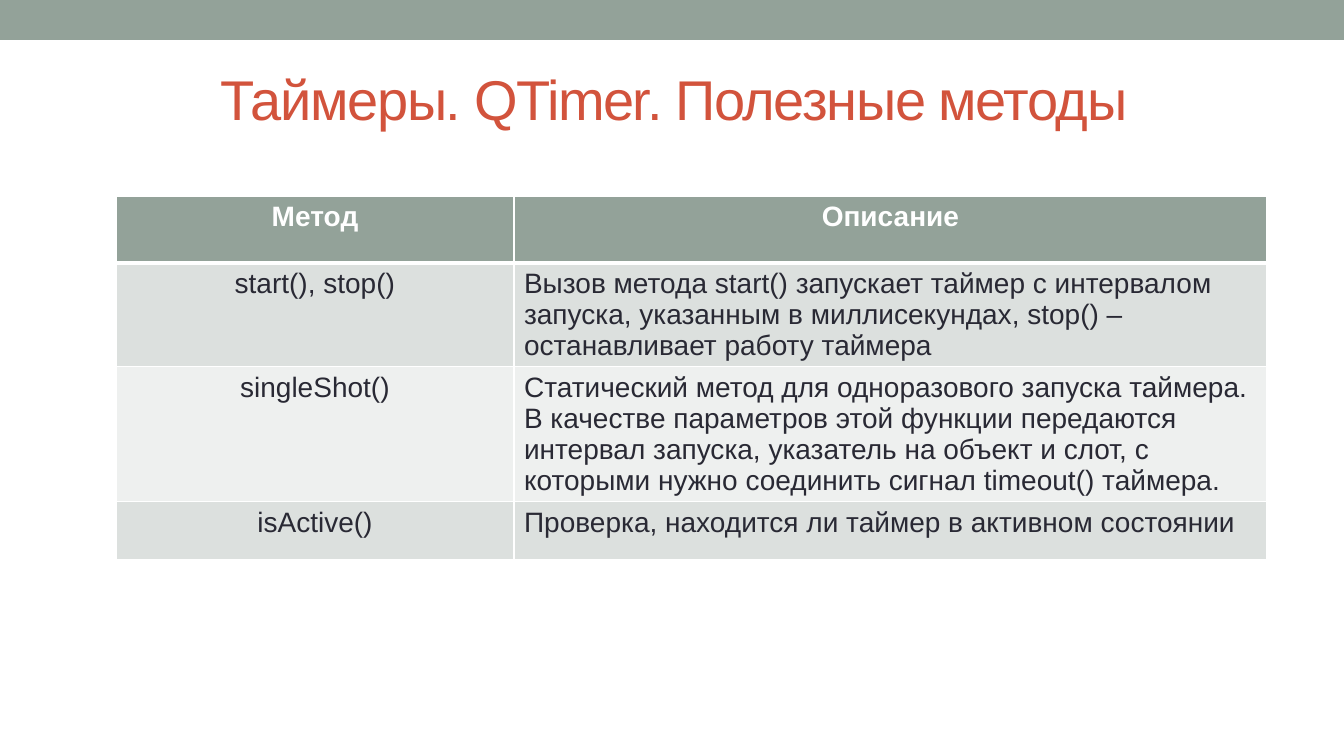
from dataclasses import dataclass

from lxml.etree import SubElement as Sub
from pptx import Presentation
from pptx.dml.color import RGBColor as RGB
from pptx.enum.shapes import MSO_SHAPE as Shape
from pptx.enum.text import MSO_ANCHOR as Anchor
from pptx.enum.text import MSO_AUTO_SIZE as Fit
from pptx.enum.text import PP_ALIGN as Align
from pptx.oxml.ns import qn
from pptx.util import Emu, Pt


@dataclass(frozen=True)
class Theme:
    font: str = "Arial"
    white: str = "FFFFFF"
    sage: str = "93A299"
    red: str = "D2533C"
    ink: str = "292934"
    bands: tuple = ("DCE0DE", "EEF0EF")
    title: int = 40
    cell: int = 20
    thin: int = 1
    thick: int = 3


THEME = Theme()
SCALE = 914400 / 100.8

COLS = (398, 753)
ROWS = (
    (67, "Метод", "Описание"),
    (101, "start(), stop()",
     "Вызов метода start() запускает таймер с интервалом запуска, "
     "указанным в миллисекундах, stop() – останавливает работу таймера"),
    (129, "singleShot()",
     "Статический метод для одноразового запуска таймера. "
     "В качестве параметров этой функции передаются интервал запуска, "
     "указатель на объект и слот, с которыми нужно соединить "
     "сигнал timeout() таймера."),
    (58, "isActive()", "Проверка, находится ли таймер в активном состоянии"),
)


def px(num):
    return Emu(round(num * SCALE))


def paint(fill, color):
    fill.solid()
    fill.fore_color.rgb = RGB.from_string(color)


def write(frame, text, size, color, align, bold=False):
    """Add one formatted run to the first paragraph and return it."""
    para = frame.paragraphs[0]
    para.alignment = align
    run = para.add_run()
    run.text = text
    font = run.font
    font.name, font.size, font.bold = THEME.font, Pt(size), bold
    font.color.rgb = RGB.from_string(color)
    return run


def add_bar(slide):
    bar = slide.shapes.add_shape(Shape.RECTANGLE, 0, 0, px(1344), px(40))
    bar.shadow.inherit = False
    paint(bar.fill, THEME.sage)
    bar.line.fill.background()


def add_title(slide, text):
    title = slide.shapes.title
    title.left, title.top = px(69), px(44)
    title.width, title.height = px(1210), px(109)
    frame = title.text_frame
    frame.auto_size = Fit.NONE
    frame.vertical_anchor = Anchor.MIDDLE
    run = write(frame, text, THEME.title, THEME.red, Align.CENTER)
    run._r.get_or_add_rPr().set("spc", "-100")


def set_edges(cell, top, bottom):
    """Draw white cell borders; top and bottom are widths in points."""
    props = cell._tc.get_or_add_tcPr()
    thin = THEME.thin
    for side, width in zip("LRTB", (thin, thin, top, bottom)):
        line = Sub(props, qn(f"a:ln{side}"), w=str(Pt(width)))
        solid = Sub(line, qn("a:solidFill"))
        Sub(solid, qn("a:srgbClr"), val=THEME.white)


def add_table(slide):
    high = sum(row[0] for row in ROWS)
    frame = slide.shapes.add_table(
        len(ROWS), len(COLS), px(116), px(196), px(sum(COLS)), px(high))
    table = frame.table
    table.horz_banding = False
    for col, width in zip(table.columns, COLS):
        col.width = px(width)
    for i, (height, *texts) in enumerate(ROWS):
        table.rows[i].height = px(height)
        head = i == 0
        back = THEME.sage if head else THEME.bands[(i - 1) % 2]
        color = THEME.white if head else THEME.ink
        top = THEME.thick if i == 1 else THEME.thin
        bottom = THEME.thick if head else THEME.thin
        for j, text in enumerate(texts):
            cell = table.cell(i, j)
            align = Align.CENTER if head or j == 0 else Align.LEFT
            set_edges(cell, top, bottom)
            paint(cell.fill, back)
            write(cell.text_frame, text, THEME.cell, color, align, head)


def main():
    deck = Presentation()
    deck.slide_width, deck.slide_height = px(1344), px(756)
    slide = deck.slides.add_slide(deck.slide_layouts.get_by_name("Title Only"))
    paint(slide.background.fill, THEME.white)
    add_bar(slide)
    add_title(slide, "Таймеры. QTimer. Полезные методы")
    add_table(slide)
    deck.save("out.pptx")


if __name__ == "__main__":
    main()
